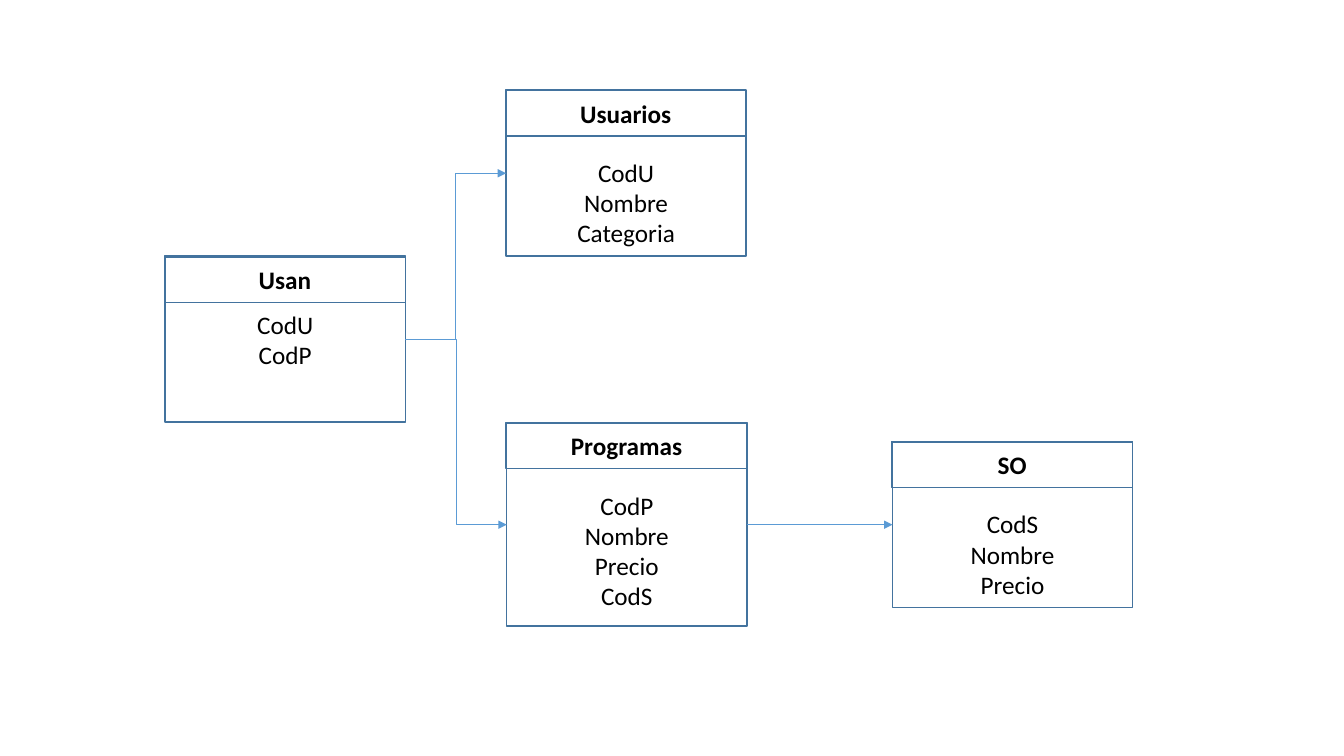
from lxml import etree
from pptx import Presentation
from pptx.dml.color import RGBColor
from pptx.enum.shapes import MSO_CONNECTOR, MSO_SHAPE
from pptx.enum.text import MSO_ANCHOR, PP_ALIGN
from pptx.oxml.ns import qn
from pptx.util import Pt

RECT = MSO_SHAPE.RECTANGLE
ELBOW, STRAIGHT = MSO_CONNECTOR.ELBOW, MSO_CONNECTOR.STRAIGHT
TOP, MIDDLE = MSO_ANCHOR.TOP, MSO_ANCHOR.MIDDLE
CENTER = PP_ALIGN.CENTER
LEFT_SITE, RIGHT_SITE = 1, 3  # connection sites of a rectangle

BORDER, ARROW, INK = "43739E", "5B9BD5", "000000"
TABLE_W, HEADER_H = 171.5, 33
OVERLAP = 0.5   # the header sits slightly up and left of the body
FIELD_TOP = 47.5  # top inset that clears the header

# name: left, top, height, fields, anchor, top inset
TABLES = {
    "Usan": (118, 183.5, 118, ["CodU", "CodP"], MIDDLE, 3.6),
    "Usuarios": (361.5, 64.8, 118, ["CodU", "Nombre", "Categoria"],
                 TOP, FIELD_TOP),
    "Programas": (362, 302.4, 144.8, ["CodP", "Nombre", "Precio", "CodS"],
                  TOP, FIELD_TOP),
    "SO": (637.5, 315.8, 118, ["CodS", "Nombre", "Precio"], TOP, FIELD_TOP),
}
LINKS = [("Usan", "Usuarios", ELBOW), ("Usan", "Programas", ELBOW),
         ("Programas", "SO", STRAIGHT)]


def rgb(value):
    return RGBColor.from_string(value)


def add_text(sp, lines, size=18, bold=False, anchor=MIDDLE, inset=3.6):
    tf = sp.text_frame
    tf.word_wrap = True
    tf.vertical_anchor = anchor
    tf.margin_top = Pt(inset)
    for i, line in enumerate(lines):
        p = tf.paragraphs[0] if i == 0 else tf.add_paragraph()
        p.alignment = CENTER
        r = p.add_run()
        r.text = line
        r.font.name, r.font.size, r.font.bold = "Calibri", Pt(size), bold
        r.font.color.rgb = rgb(INK)


def add_box(s, x, y, w, h, lines, **text_format):
    sp = s.shapes.add_shape(RECT, Pt(x), Pt(y), Pt(w), Pt(h))
    sp.shadow.inherit = False
    sp.fill.background()
    sp.line.color.rgb = rgb(BORDER)
    sp.line.width = Pt(1)
    add_text(sp, lines, **text_format)
    return sp


def add_entity(s, name, x, y, h, fields, anchor, inset):
    body = add_box(s, x, y, TABLE_W, h, fields, anchor=anchor, inset=inset)
    add_box(s, x - OVERLAP, y - OVERLAP, TABLE_W + OVERLAP, HEADER_H,
            [name], bold=True)
    return body


def add_arrow(s, source, target, kind):
    cx = s.shapes.add_connector(kind, 0, 0, 0, 0)
    cx.begin_connect(source, RIGHT_SITE)
    cx.end_connect(target, LEFT_SITE)
    cx.line.color.rgb = rgb(ARROW)
    cx.line.width = Pt(0.5)
    # Arrowhead and no shadow
    etree.SubElement(cx.line._get_or_add_ln(), qn("a:tailEnd"),
                     type="triangle")
    etree.SubElement(cx._element.spPr, qn("a:effectLst"))


def main():
    prs = Presentation()
    prs.slide_width, prs.slide_height = Pt(960), Pt(540)
    s = prs.slides.add_slide(prs.slide_layouts[6])

    # Tables of the schema
    bodies = {name: add_entity(s, name, *layout)
              for name, layout in TABLES.items()}

    # Foreign keys
    for source, target, kind in LINKS:
        add_arrow(s, bodies[source], bodies[target], kind)

    prs.save("out.pptx")


main()
